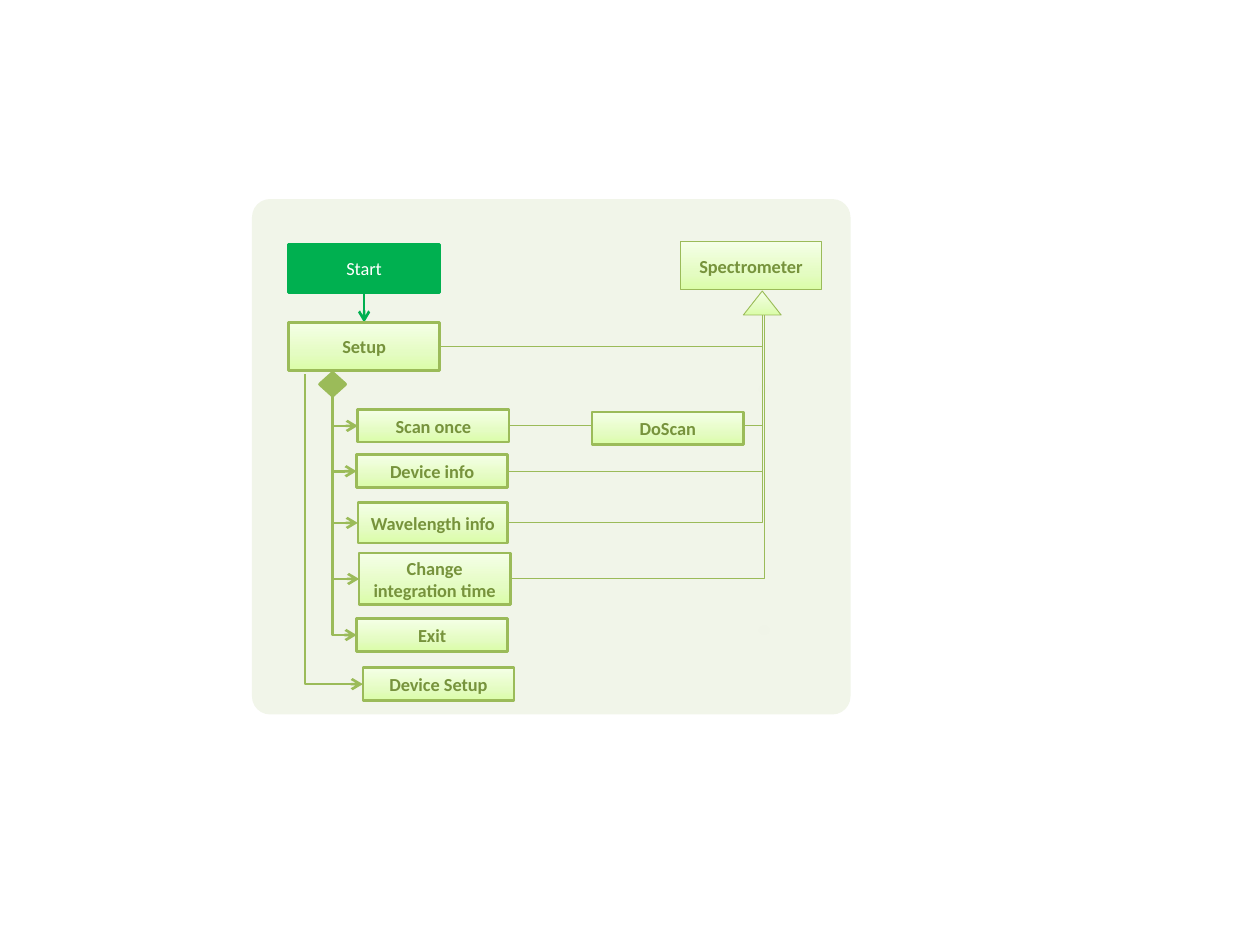
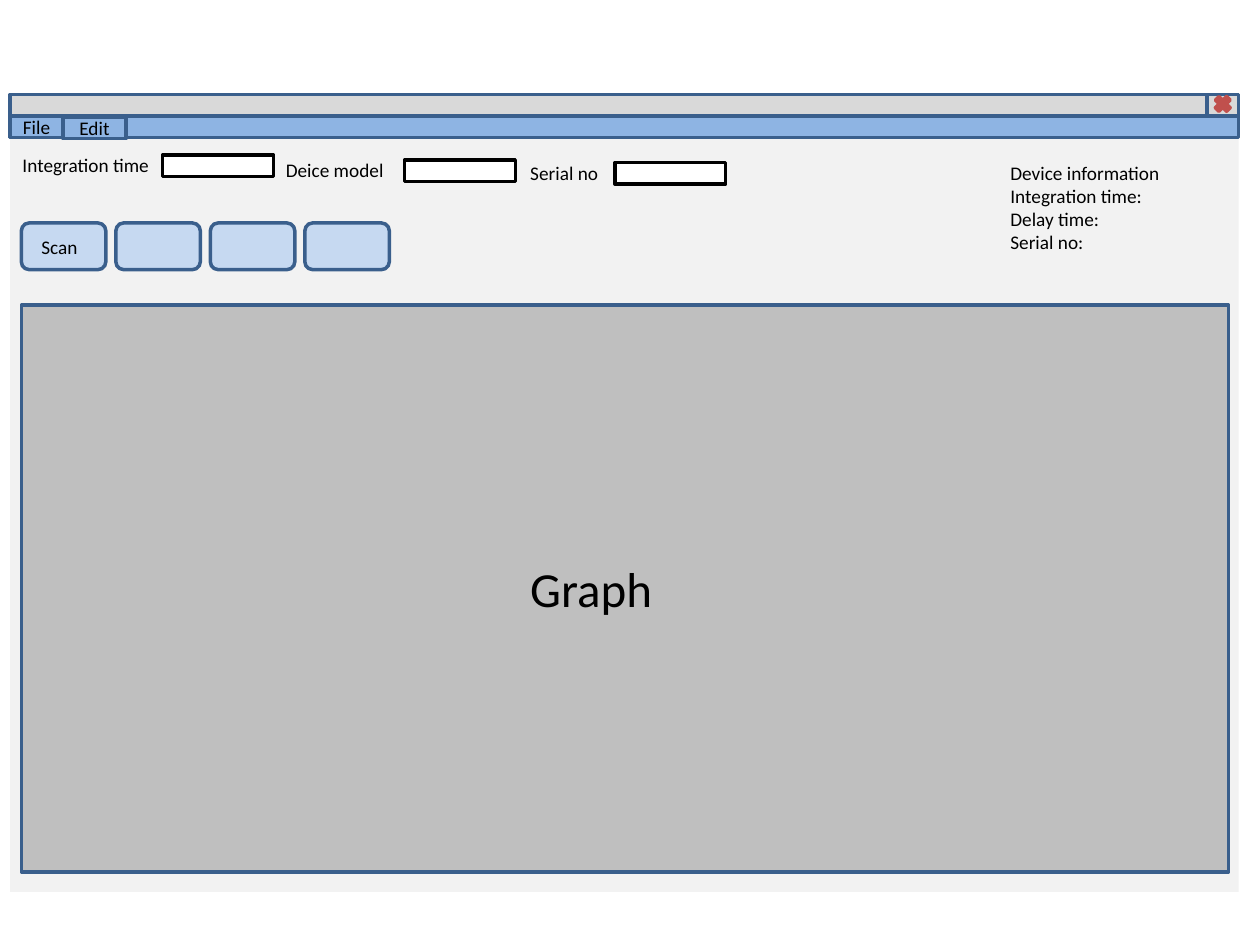
from copy import deepcopy
from dataclasses import dataclass

from pptx import Presentation
from pptx import util as u
from pptx.dml import color
from pptx.enum import shapes, text
from pptx.oxml import ns, xmlchemy

I = u.Inches
MSO = shapes.MSO_SHAPE


@dataclass(frozen=True)
class Theme:
    """Colours, font and type sizes of the deck."""
    font: str = "Calibri"
    node_size: float = 10.5
    ui_size: float = 11
    graph_size: float = 28
    panel: str = "F1F5E9"
    green: str = "9BBB59"
    green_text: str = "77933C"
    start: str = "00B050"
    patch: str = "EBF1DE"
    gradient: tuple = ((0, "DAFDA7"), (0.35, "E4FCC2"), (1, "F5FFE7"))
    border: str = "3A5F8C"
    window: str = "F2F2F2"
    title_bar: str = "D9D9D9"
    menu: str = "8EB4E3"
    button: str = "C6D9F1"
    graph: str = "BFBFBF"
    close: str = "C0504D"
    white: str = "FFFFFF"
    black: str = "000000"


T = Theme()


def rgb(value):
    """Turn a hex string into a colour."""
    return color.RGBColor.from_string(value)


def sub(parent, tag, **attrs):
    """Append an XML child with attributes."""
    child = xmlchemy.OxmlElement(tag)
    for name, value in attrs.items():
        child.set(name, str(value))
    parent.append(child)
    return child


def paint_gradient(fill):
    """Fill with the three-stop green gradient, lightest on top."""
    fill.gradient()
    fill.gradient_angle = 90
    first = fill.gradient_stops[0]._gs
    first.addnext(deepcopy(first))
    for stop, (position, value) in zip(fill.gradient_stops, T.gradient):
        stop.position = position
        stop.color.rgb = rgb(value)


def shape(slide, kind, box, fill=None, line=None, width=2):
    """Add a preset shape; without a fill colour it gets the gradient."""
    s = slide.shapes.add_shape(kind, *map(I, box))
    s.shadow.inherit = False
    if fill:
        s.fill.solid()
        s.fill.fore_color.rgb = rgb(fill)
    else:
        paint_gradient(s.fill)
    if line:
        s.line.color.rgb = rgb(line)
        s.line.width = u.Pt(width)
    else:
        s.line.fill.background()
    return s


def write(s, content, size, ink, bold=False, centred=True):
    """Set and format the text of a shape."""
    tf = s.text_frame
    tf.text = content
    tf.word_wrap = True
    tf.vertical_anchor = text.MSO_ANCHOR.MIDDLE if centred else text.MSO_ANCHOR.TOP
    for p in tf.paragraphs:
        p.alignment = text.PP_ALIGN.CENTER if centred else text.PP_ALIGN.LEFT
        for r in p.runs:
            r.font.name = T.font
            r.font.size = u.Pt(size)
            r.font.bold = bold
            r.font.color.rgb = rgb(ink)


def node(slide, label, box, width=1.5):
    """Add a gradient box of the flow chart."""
    s = shape(slide, MSO.RECTANGLE, box, line=T.green, width=width)
    write(s, label, T.node_size, T.green_text, bold=True)


def label(slide, content, box, size=T.ui_size):
    """Add a plain text label."""
    s = slide.shapes.add_textbox(*map(I, box))
    write(s, content, size, T.black, centred=False)


def connector(slide, kind, points, ink, width, arrow=False):
    """Add a line without a shadow, with an optional arrowhead."""
    c = slide.shapes.add_connector(kind, *map(I, points))
    c.line.color.rgb = rgb(ink)
    c.line.width = u.Pt(width)
    if arrow:
        sub(c.line._get_or_add_ln(), "a:tailEnd", type="arrow")
    sub(c._element.spPr, "a:effectLst")
    return c


def make_corner(c):
    """Give an elbow connector a single bend."""
    c._element.spPr.find(ns.qn("a:prstGeom")).set("prst", "bentConnector2")


def branch(slide, x, y, end_x, end_y):
    """Draw an arrow that goes down and then right."""
    dx, dy = end_x - x, end_y - y
    left, top = (x + end_x - dy) / 2, (y + end_y - dx) / 2
    c = connector(slide, shapes.MSO_CONNECTOR.ELBOW,
                  (left, top, left + dy, top + dx), T.green, 1.5, arrow=True)
    make_corner(c)
    xfrm = c._element.spPr.find(ns.qn("a:xfrm"))
    xfrm.set("rot", "16200000")
    xfrm.set("flipH", "1")


def inherit_link(slide, x, y, end_x, end_y):
    """Draw a thin line that goes right and then up."""
    c = connector(slide, shapes.MSO_CONNECTOR.ELBOW, (x, y, end_x, end_y), T.green, 0.5)
    make_corner(c)


def soft_patch(slide, y):
    """Add a faint, soft-edged patch over the vertical line."""
    s = shape(slide, MSO.RECTANGLE, (5.94, y, 0.25, 0.18), T.patch)
    fill = s._element.spPr.find(ns.qn("a:solidFill"))
    sub(fill[0], "a:alpha", val=80000)
    sub(s._element.spPr.find(ns.qn("a:effectLst")), "a:softEdge", rad=I(0.07))


def flow_slide(slide):
    """Build the class flow chart."""
    panel = shape(slide, MSO.ROUNDED_RECTANGLE, (2, 1.58, 4.75, 4.09), T.panel)
    panel.adjustments[0] = 0.035
    start = shape(slide, MSO.RECTANGLE, (2.29, 1.94, 1.2, 0.38), T.start, T.start, 1.5)
    write(start, "Start", T.node_size, T.white)
    connector(slide, shapes.MSO_CONNECTOR.STRAIGHT, (2.89, 2.32, 2.89, 2.56),
              T.start, 1.5, arrow=True)
    node(slide, "Setup", (2.29, 2.56, 1.2, 0.38))
    node(slide, "Spectrometer", (5.4, 1.92, 1.12, 0.38), 0.5)
    shape(slide, MSO.ISOSCELES_TRIANGLE, (5.9, 2.31, 0.3, 0.19), line=T.green, width=0.5)
    shape(slide, MSO.FLOWCHART_DECISION, (2.54, 2.96, 0.2, 0.18), T.green, T.green)

    inherit_link(slide, 3.49, 2.75, 6.05, 2.5)
    steps = (
        ("Scan once", 2.84, 3.25, 1.2, 0.26, 6.05),
        ("Device info", 2.83, 3.61, 1.2, 0.26, 6.05),
        ("Wavelength info", 2.84, 3.99, 1.19, 0.32, 6.05),
        ("Change integration time", 2.85, 4.39, 1.2, 0.41, 6.07),
        ("Exit", 2.83, 4.91, 1.2, 0.26, None),
    )
    for name, x, y, w, h, link_x in steps:
        middle = y + h / 2
        branch(slide, 2.64, 3.14, x, middle)
        if link_x:
            inherit_link(slide, x + w, middle, link_x, 2.5)
        node(slide, name, (x, y, w, h))
    branch(slide, 2.42, 2.97, 2.88, 5.43)
    node(slide, "Device Setup", (2.88, 5.3, 1.2, 0.26))
    for y in (3, 4.91):
        soft_patch(slide, y)
    node(slide, "DoScan", (4.7, 3.27, 1.2, 0.26))


def window_slide(slide):
    """Build the mock-up of the application window."""
    bar = 0.17
    shape(slide, MSO.RECTANGLE, (0.08, 0.75, 9.75, 6.33), T.window)
    for x, w in ((0.08, 9.75), (9.58, 0.25)):
        shape(slide, MSO.RECTANGLE, (x, 0.75, w, bar), T.title_bar, T.border)
    shape(slide, MSO.MATH_MULTIPLY, (9.62, 0.74, bar, bar), T.close, T.close)
    for name, x, y, w in (("", 0.08, 0.92, 9.75), ("File", 0.08, 0.92, 0.42),
                          ("Edit", 0.5, 0.93, 0.5)):
        s = shape(slide, MSO.RECTANGLE, (x, y, w, bar), T.menu, T.border)
        if name:
            write(s, name, T.ui_size, T.black)
            s.text_frame.word_wrap = False

    fields = (
        ("Integration time", 0.08, 1.17, 1.21, 1.29),
        ("Deice model", 2.17, 1.21, 1, 3.21),
        ("Serial no", 4.11, 1.23, 0.81, 4.88),
    )
    for name, x, y, w, field_x in fields:
        label(slide, name, (x, y, w, 0.29))
        shape(slide, MSO.RECTANGLE, (field_x, y + 0.06, 0.88, bar), T.white, T.black)
    label(slide, "Device information\nIntegration time: \nDelay time: \nSerial no:",
          (7.92, 1.23, 1.62, 0.84))

    for i in range(4):
        shape(slide, MSO.ROUNDED_RECTANGLE, (0.17 + 0.75 * i, 1.77, 0.67, 0.37),
              T.button, T.border)
    label(slide, "Scan", (0.23, 1.82, 1.21, 0.29))
    shape(slide, MSO.RECTANGLE, (0.17, 2.42, 9.58, 4.5), T.graph, T.border)
    label(slide, "Graph", (4.11, 4.38, 1.21, 0.57), T.graph_size)


def main():
    """Build and save the presentation."""
    prs = Presentation()
    prs.slide_width, prs.slide_height = I(10), I(7.5)
    for build in (flow_slide, window_slide):
        build(prs.slides.add_slide(prs.slide_layouts[6]))
    prs.save("out.pptx")


main()
